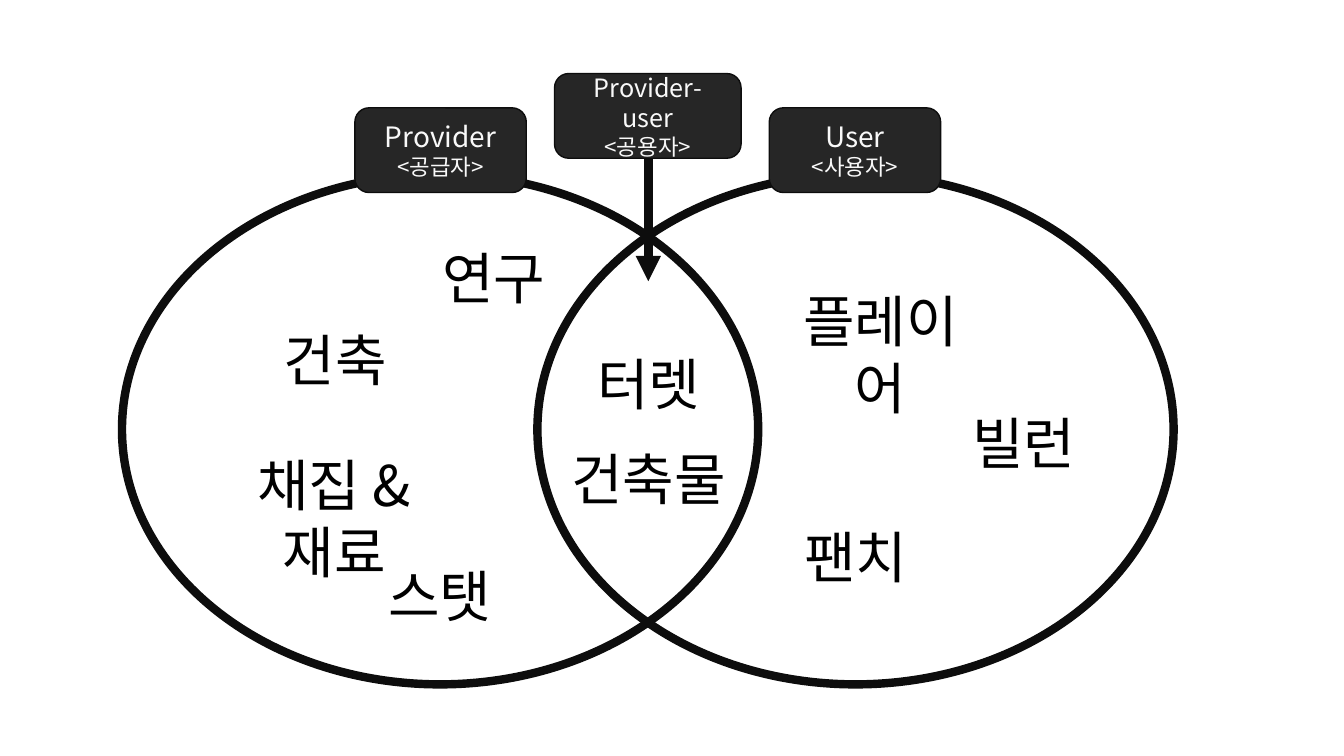
from lxml import etree
from pptx import Presentation
from pptx.dml.color import RGBColor
from pptx.enum import shapes, text
from pptx.oxml import ns
from pptx.util import Inches, Pt

INK = RGBColor(0x0D, 0x0D, 0x0D)
DARK = RGBColor(0x26, 0x26, 0x26)
PALE = RGBColor(0xF9, 0xF9, 0xF9)
BLACK = RGBColor(0, 0, 0)
FACE = "Noto Sans CJK KR"
RING_TOP, RING_WIDE, RING_HIGH = 1.73, 6.31, 5.06
WORD_HIGH, TAG_HIGH = 0.77, 0.84
SHAPE = shapes.MSO_SHAPE


class Venn:
    def __init__(self, slide):
        self.shapes = slide.shapes

    def style(self, par, size, color):
        """Centre a paragraph and set its Latin and East Asian font."""
        par.alignment = text.PP_ALIGN.CENTER
        font = par.font
        font.name, font.size = FACE, Pt(size)
        font.color.rgb = color
        props = par._p.pPr.find(ns.qn("a:defRPr"))
        etree.SubElement(props, ns.qn("a:ea"), typeface=FACE)

    def shape(self, kind, x, y, wide, high, weight):
        shape = self.shapes.add_shape(
            kind, Inches(x), Inches(y), Inches(wide), Inches(high))
        shape.shadow.inherit = False
        shape.line.color.rgb = INK
        shape.line.width = Pt(weight)
        return shape

    def ring(self, x):
        ring = self.shape(SHAPE.OVAL, x, RING_TOP, RING_WIDE, RING_HIGH, 6)
        ring.fill.background()

    def tag(self, x, y, wide, name, korean, size=20):
        tag = self.shape(SHAPE.ROUNDED_RECTANGLE, x, y, wide, TAG_HIGH, 1)
        tag.fill.solid()
        tag.fill.fore_color.rgb = DARK
        frame = tag.text_frame
        frame.vertical_anchor = text.MSO_ANCHOR.MIDDLE
        frame.text = f"{name}\n<{korean}>"
        for par, points in zip(frame.paragraphs, (size, 16)):
            self.style(par, points, PALE)

    def word(self, x, y, label, wide=2.01):
        box = self.shapes.add_textbox(
            Inches(x), Inches(y), Inches(wide), Inches(WORD_HIGH))
        frame = box.text_frame
        frame.word_wrap = True
        frame.auto_size = text.MSO_AUTO_SIZE.SHAPE_TO_FIT_TEXT
        frame.text = label
        self.style(frame.paragraphs[0], 40, BLACK)

    def arrow(self, x, top, end):
        arrow = self.shapes.add_connector(
            shapes.MSO_CONNECTOR.STRAIGHT,
            Inches(x), Inches(top), Inches(x), Inches(end))
        arrow.line.color.rgb = INK
        arrow.line.width = Pt(6)
        line = arrow.line._get_or_add_ln()
        etree.SubElement(line, ns.qn("a:tailEnd"), type="triangle")
        etree.SubElement(arrow._element.spPr, ns.qn("a:effectLst"))


def main():
    deck = Presentation()
    deck.slide_width, deck.slide_height = Inches(13.33), Inches(7.5)
    venn = Venn(deck.slides.add_slide(deck.slide_layouts[6]))

    for ring_x, tag_x, name, korean in (
            (5.33, 7.63, "User", "사용자"),
            (1.21, 3.52, "Provider", "공급자")):
        venn.ring(ring_x)
        venn.tag(tag_x, 1.07, 1.7, name, korean)

    venn.word(4.28, 2.37, "연구", 1.23)
    venn.word(2.98, 5.52, "스탯", 2.77)
    venn.word(1.93, 4.42, "채집 & 재료", 2.77)
    for x, y, label in (
            (7.73, 2.79, "플레이어"),
            (2.32, 3.18, "건축"),
            (5.43, 4.36, "건축물"),
            (7.48, 5.13, "팬치"),
            (9.15, 4, "빌런"),
            (5.43, 3.42, "터렛")):
        venn.word(x, y, label)

    venn.arrow(6.43, 1.49, 2.79)
    venn.tag(5.5, 0.73, 1.85, "Provider-user", "공용자", 18)
    deck.save("out.pptx")


if __name__ == "__main__":
    main()
